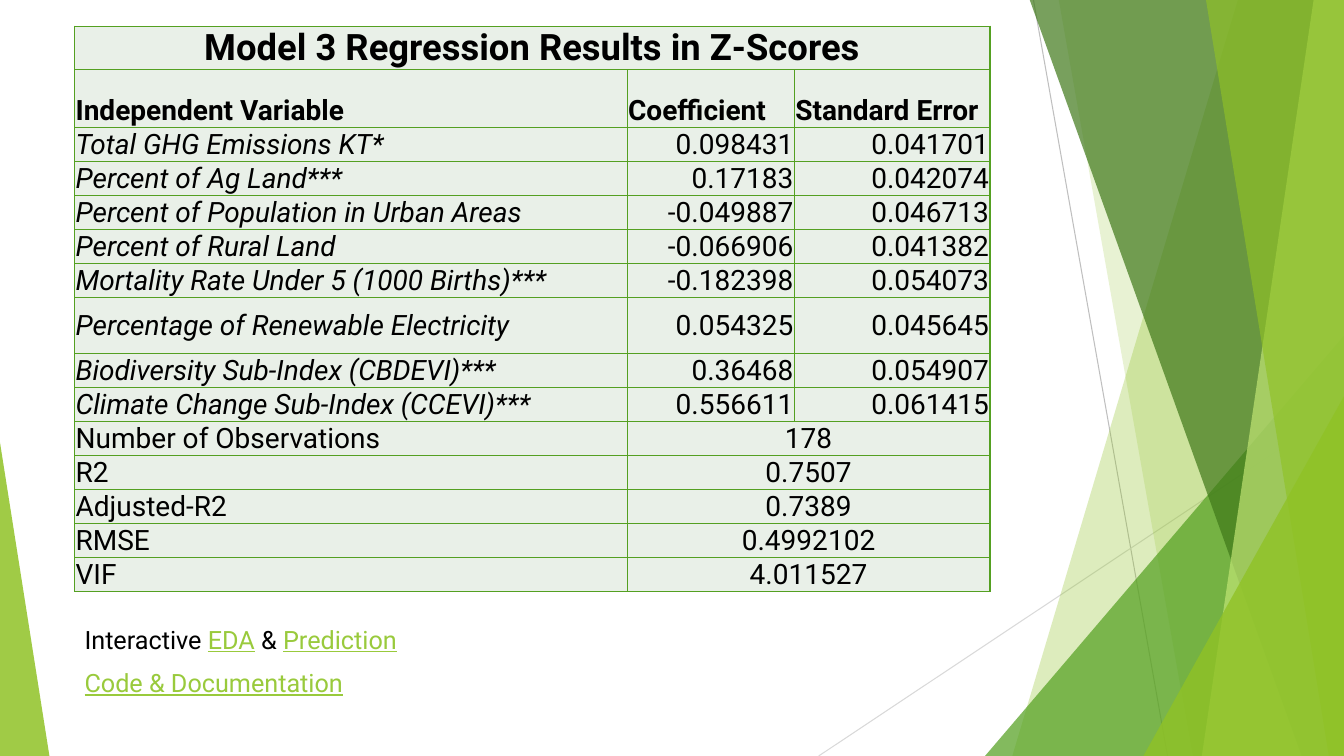
import pptx
import pptx.util
import pptx.dml.color
import pptx.enum.shapes
import pptx.enum.text
import pptx.oxml
import pptx.oxml.ns
from lxml import etree

Inches = pptx.util.Inches
Pt = pptx.util.Pt
RGBColor = pptx.dml.color.RGBColor
ALIGN = pptx.enum.text.PP_ALIGN
ANCHOR = pptx.enum.text.MSO_ANCHOR
SHAPES = pptx.enum.shapes.MSO_SHAPE
qn = pptx.oxml.ns.qn

FONT = "Roboto"
BLACK = RGBColor(0x00, 0x00, 0x00)
LIME = RGBColor(0x90, 0xC2, 0x26)
GREEN = RGBColor(0x54, 0xA0, 0x21)
DARK_GREEN = RGBColor(0x3F, 0x78, 0x19)
PALE_LIME = RGBColor(0xC0, 0xE4, 0x74)
LINK_GREEN = RGBColor(0x99, 0xCA, 0x3C)
CELL_TINT = RGBColor(0xE9, 0xF0, 0xE8)
MID_GRAY = RGBColor(0xBF, 0xBF, 0xBF)
LIGHT_GRAY = RGBColor(0xD9, 0xD9, 0xD9)

WIDTH, HEIGHT, TOP = 13.33, 7.5, -0.01
COLUMNS = [5.48, 1.66, 1.94]
ROW, TALL_ROWS = 0.31, {1: 0.57, 7: 0.56}
TITLE = "Model 3 Regression Results in Z-Scores"
HEADINGS = ["Independent Variable", "Coefficient", "Standard Error"]
VARIABLES = [
    ("Total GHG Emissions KT*", "0.098431", "0.041701"),
    ("Percent of Ag Land***", "0.17183", "0.042074"),
    ("Percent of Population in Urban Areas", "-0.049887", "0.046713"),
    ("Percent of Rural Land", "-0.066906", "0.041382"),
    ("Mortality Rate Under 5 (1000 Births)***", "-0.182398", "0.054073"),
    ("Percentage of Renewable Electricity", "0.054325", "0.045645"),
    ("Biodiversity Sub-Index (CBDEVI)***", "0.36468", "0.054907"),
    ("Climate Change Sub-Index (CCEVI)***", "0.556611", "0.061415"),
]
STATISTICS = [
    ("Number of Observations", "178"),
    ("R2", "0.7507"),
    ("Adjusted-R2", "0.7389"),
    ("RMSE", "0.4992102"),
    ("VIF", "4.011527"),
]


def paint(shape, color, opacity):
    """Fill a facet with a translucent colour and no outline."""
    shape.shadow.inherit = False
    shape.line.fill.background()
    shape.fill.solid()
    shape.fill.fore_color.rgb = color
    tone = shape.fill._xPr.find(".//" + qn("a:srgbClr"))
    etree.SubElement(tone, qn("a:alpha"), val=str(opacity * 1000))


def add_ray(slide, start, end, color):
    """Draw a thin background line."""
    ray = slide.shapes.add_connector(
        pptx.enum.shapes.MSO_CONNECTOR.STRAIGHT, *map(Inches, start + end))
    ray.line.color.rgb = color
    ray.line.width = Pt(0.75)
    etree.SubElement(ray._element.spPr, qn("a:effectLst"))


def add_band(slide, top_x, bottom_x, color, opacity):
    """Draw a slanted band that reaches the right edge of the slide."""
    corners = [(WIDTH, TOP), (WIDTH, HEIGHT), (bottom_x, HEIGHT)]
    outline = slide.shapes.build_freeform(Inches(top_x), Inches(TOP))
    outline.add_line_segments([(Inches(x), Inches(y)) for x, y in corners])
    paint(outline.convert_to_shape(), color, opacity)


def add_corner(slide, left, top, width, apex, color, opacity):
    """Draw a triangle standing on the bottom edge of the slide."""
    corner = slide.shapes.add_shape(
        SHAPES.ISOSCELES_TRIANGLE,
        *map(Inches, (left, top, width, HEIGHT - top)))
    corner.adjustments[0] = apex
    paint(corner, color, opacity)


def add_backdrop(slide):
    """Draw the green facets and thin lines from back to front."""
    add_ray(slide, (10.25, 0), (11.58, HEIGHT), MID_GRAY)
    add_ray(slide, (WIDTH, 4.03), (8.12, HEIGHT), LIGHT_GRAY)
    add_band(slide, 12.28, 10.04, LIME, 30)
    add_band(slide, 10.5, 11.83, LIME, 20)
    add_corner(slide, 9.77, 3.33, 3.56, 1, GREEN, 72)
    add_band(slide, 10.21, 12.91, DARK_GREEN, 70)
    add_band(slide, 13.03, 11.92, PALE_LIME, 70)
    add_band(slide, 11.96, 13.18, LIME, 65)
    add_corner(slide, 11.34, 3.93, 1.99, 1, LIME, 80)
    add_corner(slide, 0, 4.39, 0.49, 0, LIME, 85)


def style_cell(cell):
    """Give a cell its borders, tint and margins."""
    properties = cell._tc.get_or_add_tcPr()
    for side in ("lnL", "lnR", "lnT", "lnB"):
        border = etree.SubElement(properties, qn("a:" + side), w=str(Pt(1)))
        fill = etree.SubElement(border, qn("a:solidFill"))
        etree.SubElement(fill, qn("a:srgbClr"), val=str(GREEN))
    cell.fill.solid()
    cell.fill.fore_color.rgb = CELL_TINT
    cell.margin_left = cell.margin_right = cell.margin_top = Inches(0.01)
    cell.margin_bottom = 0


def write_cell(cell, text, align=ALIGN.LEFT, anchor=ANCHOR.MIDDLE, size=20,
               bold=False, italic=False):
    """Put formatted text in a cell."""
    cell.vertical_anchor = anchor
    paragraph = cell.text_frame.paragraphs[0]
    paragraph.text = text
    paragraph.alignment = align
    font = paragraph.font
    font.name, font.size, font.color.rgb = FONT, Pt(size), BLACK
    font.bold, font.italic = bold, italic


def add_results(slide):
    """Build the regression table."""
    count = 2 + len(VARIABLES) + len(STATISTICS)
    heights = [TALL_ROWS.get(index, ROW) for index in range(count)]
    results = slide.shapes.add_table(
        count, len(COLUMNS), Inches(0.74), Inches(0.26),
        Inches(sum(COLUMNS)), Inches(sum(heights))).table
    results.first_row = results.horz_banding = False
    for column, width in zip(results.columns, COLUMNS):
        column.width = Inches(width)
    for row, height in zip(results.rows, heights):
        row.height = Inches(height)
    for cell in results.iter_cells():
        style_cell(cell)

    results.cell(0, 0).merge(results.cell(0, 2))
    write_cell(results.cell(0, 0), TITLE, ALIGN.CENTER, ANCHOR.BOTTOM, 26, bold=True)
    for column, heading in enumerate(HEADINGS):
        write_cell(results.cell(1, column), heading, anchor=ANCHOR.BOTTOM, bold=True)
    for row, (variable, *estimates) in enumerate(VARIABLES, 2):
        write_cell(results.cell(row, 0), variable, italic=True)
        for column, estimate in enumerate(estimates, 1):
            write_cell(results.cell(row, column), estimate, ALIGN.RIGHT)
    for row, (statistic, value) in enumerate(STATISTICS, 2 + len(VARIABLES)):
        results.cell(row, 1).merge(results.cell(row, 2))
        write_cell(results.cell(row, 0), statistic)
        write_cell(results.cell(row, 1), value, ALIGN.CENTER)


def add_reference(slide, top, width, pieces):
    """Write a line of text whose linked pieces are green and underlined."""
    frame = slide.shapes.add_textbox(
        *map(Inches, (0.74, top, width, 0.4))).text_frame
    frame.word_wrap = True
    paragraph = frame.paragraphs[0]
    paragraph.font.name, paragraph.font.size = FONT, Pt(18)
    for text, linked in pieces:
        run = paragraph.add_run()
        run.text = text
        run.font.color.rgb = LINK_GREEN if linked else BLACK
        run.font.underline = linked


def main():
    """Build and save the slide."""
    deck = pptx.Presentation()
    deck.slide_width, deck.slide_height = Inches(WIDTH), Inches(HEIGHT)
    slide = deck.slides.add_slide(deck.slide_layouts[6])
    add_backdrop(slide)
    add_results(slide)
    add_reference(slide, 6.14, 4.74, [
        ("Interactive ", False), ("EDA", True), (" & ", False), ("Prediction", True)])
    add_reference(slide, 6.57, 3.26, [("Code & Documentation", True)])
    deck.save("out.pptx")


main()
